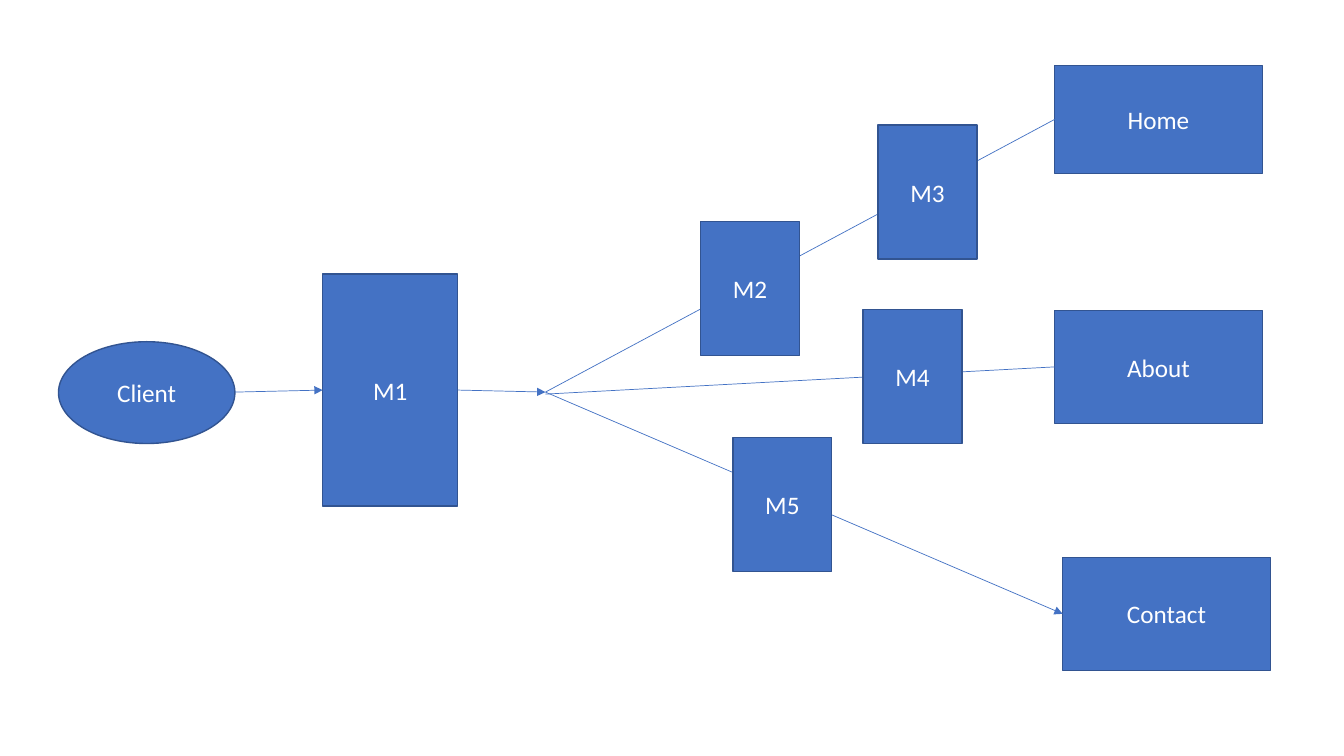
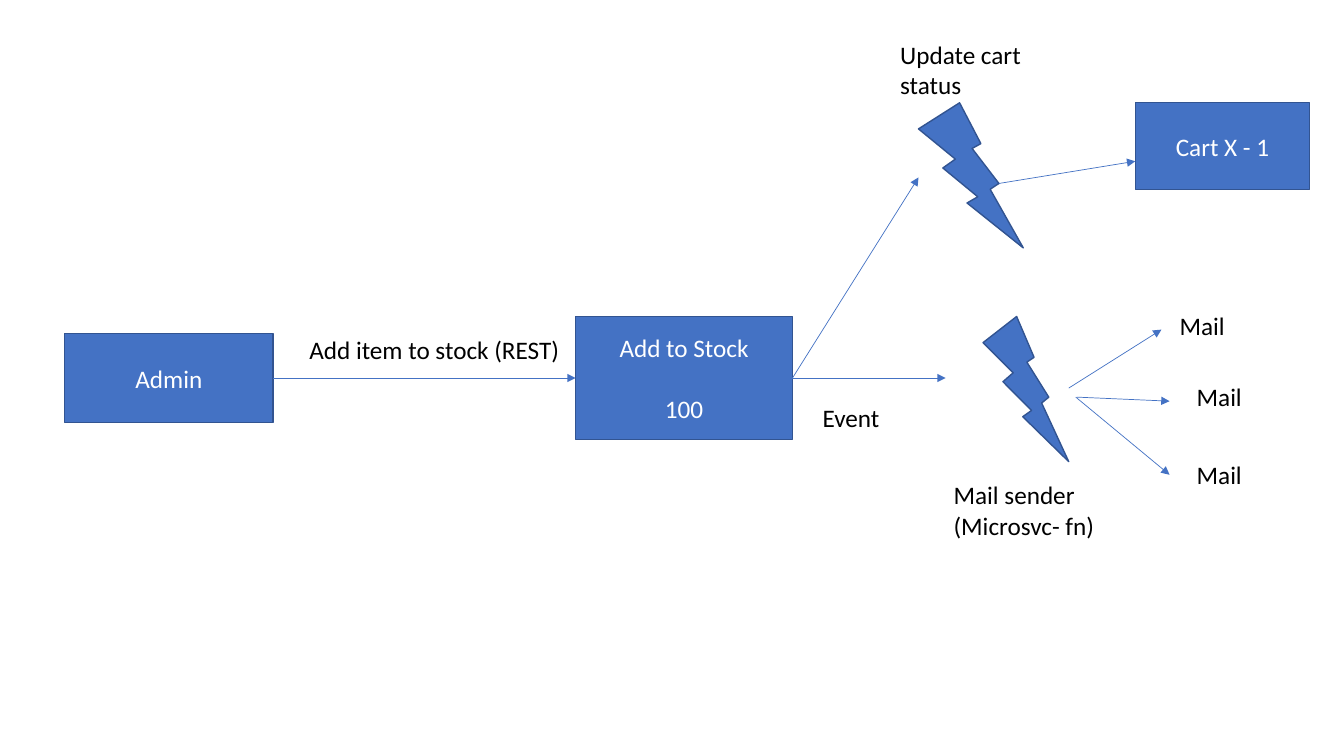
from lxml import etree
from pptx import Presentation
from pptx.dml.color import RGBColor
from pptx.enum.shapes import MSO_CONNECTOR, MSO_SHAPE
from pptx.enum.text import MSO_ANCHOR, PP_ALIGN
from pptx.oxml.ns import qn
from pptx.util import Inches, Pt

RECT, OVAL, BOLT = MSO_SHAPE.RECTANGLE, MSO_SHAPE.OVAL, MSO_SHAPE.LIGHTNING_BOLT
STRAIGHT = MSO_CONNECTOR.STRAIGHT
CENTER, MIDDLE = PP_ALIGN.CENTER, MSO_ANCHOR.MIDDLE
LEFT_SIDE, RIGHT_SIDE = 1, 3

BLUE = RGBColor(0x44, 0x72, 0xC4)
DARK_BLUE = RGBColor(0x32, 0x54, 0x91)
WHITE = RGBColor(0xFF, 0xFF, 0xFF)
BLACK = RGBColor(0, 0, 0)
FONT, TEXT_SIZE, LINE_HEIGHT = "Calibri", Pt(18), Pt(22)

# Nodes: (lines of text, preset, left, top, width, height)
# Links: (from, to, arrow), each end a node's first line or a point
# Labels: (text, left, top, width, height)
MIDDLEWARE_SIZE = (0.98, 1.33)
FORK = (5.41, 3.89)
ROUTING = {
    "nodes": [
        (["Home"], RECT, 10.46, 0.65, 2.06, 1.07),
        (["About"], RECT, 10.46, 3.08, 2.06, 1.12),
        (["Contact"], RECT, 10.54, 5.53, 2.06, 1.12),
        (["Client"], OVAL, 0.58, 3.39, 1.75, 1.01),
        (["M1"], RECT, 3.2, 2.72, 1.34, 2.3),
    ],
    "links": [
        ((2.33, 3.89), "M1", True),
        ("M1", FORK, True),
        (FORK, "Home", False),
        ((5.41, 3.91), "About", False),
        (FORK, "Contact", True),
    ],
    "nodes_over_links": [
        ([name], RECT, left, top, *MIDDLEWARE_SIZE)
        for name, left, top in [("M2", 6.95, 2.2), ("M3", 8.71, 1.24),
                                ("M4", 8.56, 3.07), ("M5", 7.27, 4.34)]
    ],
    "labels": [],
}

MAIL_SIZE = (1.39, 0.4)
STOCK_EVENTS = {
    "nodes": [
        (["Add to Stock", "100"], RECT, 5.71, 3.14, 2.15, 1.22),
        (["Admin"], RECT, 0.64, 3.31, 2.07, 0.88),
        ([], BOLT, 9.75, 3.14, 0.85, 1.44),
        ([], BOLT, 9.11, 1.02, 1.04, 1.44),
        (["Cart X - 1"], RECT, 11.26, 1.02, 1.73, 0.86),
    ],
    "links": [
        ("Admin", "Add to Stock", True),
        ("Add to Stock", (9.38, 3.75), True),
        ("Add to Stock", (9.11, 1.76), True),
        ((9.91, 1.82), (11.26, 1.6), True),
        ((10.6, 3.85), (11.52, 3.27), True),
        ((10.68, 3.94), (11.6, 3.98), True),
        ((10.67, 3.94), (11.6, 4.71), True),
    ],
    "nodes_over_links": [],
    "labels": [
        ("Add item to stock (REST)", 2.97, 3.27, 4.5, 0.4),
        ("Event", 8.06, 3.94, 1.12, 0.4),
        ("Mail sender (Microsvc- fn)", 9.36, 4.71, 1.87, 0.71),
        ("Update cart status", 8.83, 0.34, 1.84, 0.71),
        ("Mail", 11.6, 3.03, *MAIL_SIZE),
        ("Mail", 11.77, 3.73, *MAIL_SIZE),
        ("Mail", 11.77, 4.51, *MAIL_SIZE),
    ],
}


def add_run(paragraph, text, color):
    run = paragraph.add_run()
    run.text = text
    run.font.name, run.font.size = FONT, TEXT_SIZE
    run.font.color.rgb = color


def add_node(slide, lines, preset, *box):
    node = slide.shapes.add_shape(preset, *map(Inches, box))
    node.shadow.inherit = False
    node.fill.solid()
    node.fill.fore_color.rgb = BLUE
    node.line.color.rgb = DARK_BLUE
    node.line.width = Pt(1)
    frame = node.text_frame
    frame.vertical_anchor = MIDDLE
    for index, line in enumerate(lines):
        paragraph = frame.add_paragraph() if index else frame.paragraphs[0]
        paragraph.alignment = CENTER
        if index:
            paragraph.space_before = LINE_HEIGHT
        add_run(paragraph, line, WHITE)
    return node


def add_link(slide, nodes, start, end, arrow):
    """Draw a line from a node's right side or a point to a node's left side or a point."""
    points = [(0, 0) if isinstance(place, str) else place for place in (start, end)]
    link = slide.shapes.add_connector(
        STRAIGHT, *(Inches(value) for point in points for value in point))
    if isinstance(start, str):
        link.begin_connect(nodes[start], RIGHT_SIDE)
    if isinstance(end, str):
        link.end_connect(nodes[end], LEFT_SIDE)
    link.line.color.rgb = BLUE
    link.line.width = Pt(0.5)
    if arrow:
        etree.SubElement(link.line._get_or_add_ln(), qn("a:tailEnd"), type="triangle")
    etree.SubElement(link._element.spPr, qn("a:effectLst"))


def add_label(slide, text, *box):
    frame = slide.shapes.add_textbox(*map(Inches, box)).text_frame
    frame.word_wrap = True
    add_run(frame.paragraphs[0], text, BLACK)


def add_diagram(prs, diagram):
    slide = prs.slides.add_slide(prs.slide_layouts[6])
    nodes = {}
    for lines, *form in diagram["nodes"]:
        node = add_node(slide, lines, *form)
        if lines:
            nodes[lines[0]] = node
    for link in diagram["links"]:
        add_link(slide, nodes, *link)
    for node in diagram["nodes_over_links"]:
        add_node(slide, *node)
    for label in diagram["labels"]:
        add_label(slide, *label)


def main():
    prs = Presentation()
    prs.slide_width, prs.slide_height = Inches(13.33), Inches(7.5)
    for diagram in (ROUTING, STOCK_EVENTS):
        add_diagram(prs, diagram)
    prs.save("out.pptx")


if __name__ == "__main__":
    main()
